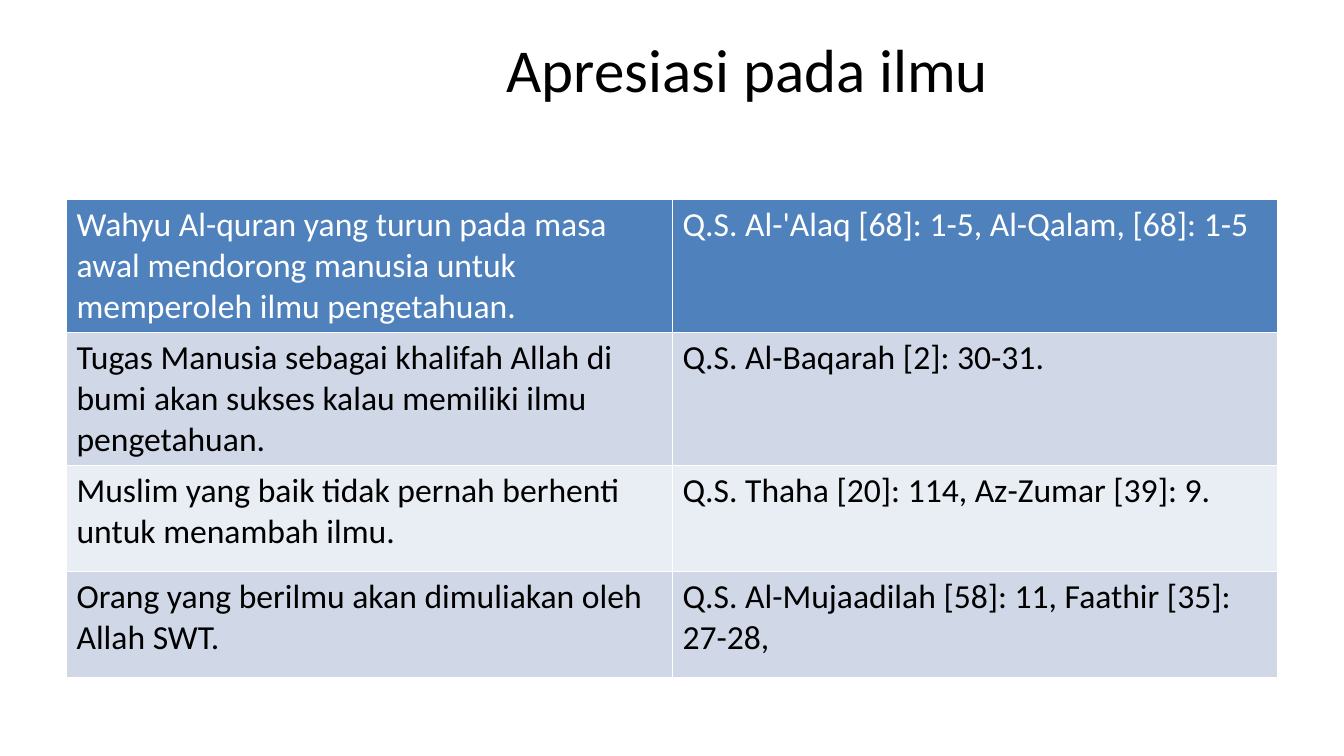
from dataclasses import dataclass

from pptx import Presentation
from pptx.dml.color import RGBColor
from pptx.enum.text import MSO_ANCHOR, MSO_AUTO_SIZE, PP_ALIGN
from pptx.util import Inches, Pt

LEFT, CENTER = PP_ALIGN.LEFT, PP_ALIGN.CENTER
MIDDLE = MSO_ANCHOR.MIDDLE
NO_FIT = MSO_AUTO_SIZE.NONE


@dataclass(frozen=True)
class Theme:
    font: str = "Calibri"
    title: float = 43.5
    body: float = 24
    ink: str = "000000"
    white: str = "FFFFFF"
    head: str = "4F81BD"
    bands: tuple = ("D0D8E8", "E9EDF4")


theme = Theme()


def write(frame, text, size=theme.body, color=theme.ink, align=LEFT):
    frame.word_wrap = True
    para = frame.paragraphs[0]
    para.alignment = align
    run = para.add_run()
    run.text = text
    font = run.font
    font.name, font.size, font.bold = theme.font, Pt(size), False
    font.color.rgb = RGBColor.from_string(color)


deck = Presentation()
deck.slide_width, deck.slide_height = Inches(13.33), Inches(7.5)
slide = deck.slides.add_slide(deck.slide_layouts[5])

# Title
title = slide.shapes.title
title.left, title.top = Inches(2.17), Inches(0.3)
title.width, title.height = Inches(10.49), Inches(0.75)
frame = title.text_frame
frame.auto_size = NO_FIT
frame.vertical_anchor = MIDDLE
frame.margin_left = frame.margin_right = Inches(0.11)
write(frame, "Apresiasi pada ilmu", size=theme.title, align=CENTER)

# Teachings and their verses
verses = [
    ("Wahyu Al-quran yang turun pada masa awal mendorong manusia untuk memperoleh ilmu pengetahuan.",
     "Q.S. Al-'Alaq [68]: 1-5, Al-Qalam, [68]: 1-5"),
    ("Tugas Manusia sebagai khalifah Allah di bumi akan sukses kalau memiliki ilmu pengetahuan.",
     "Q.S. Al-Baqarah [2]: 30-31."),
    ("Muslim yang baik tidak pernah berhenti untuk menambah ilmu.",
     "Q.S. Thaha [20]: 114, Az-Zumar [39]: 9."),
    ("Orang yang berilmu akan dimuliakan oleh Allah SWT.",
     "Q.S. Al-Mujaadilah [58]: 11, Faathir [35]: 27-28,"),
]
row_height = 1.05
table = slide.shapes.add_table(
    len(verses), 2, Inches(0.66), Inches(1.98),
    Inches(12.01), Inches(row_height * len(verses))).table
for column, width in zip(table.columns, (6.01, 6)):
    column.width = Inches(width)

for i, row in enumerate(verses):
    fill = theme.bands[(i - 1) % 2] if i else theme.head
    color = theme.ink if i else theme.white
    table.rows[i].height = Inches(row_height)
    for j, text in enumerate(row):
        cell = table.cell(i, j)
        cell.fill.solid()
        cell.fill.fore_color.rgb = RGBColor.from_string(fill)
        write(cell.text_frame, text, color=color)

deck.save("out.pptx")
